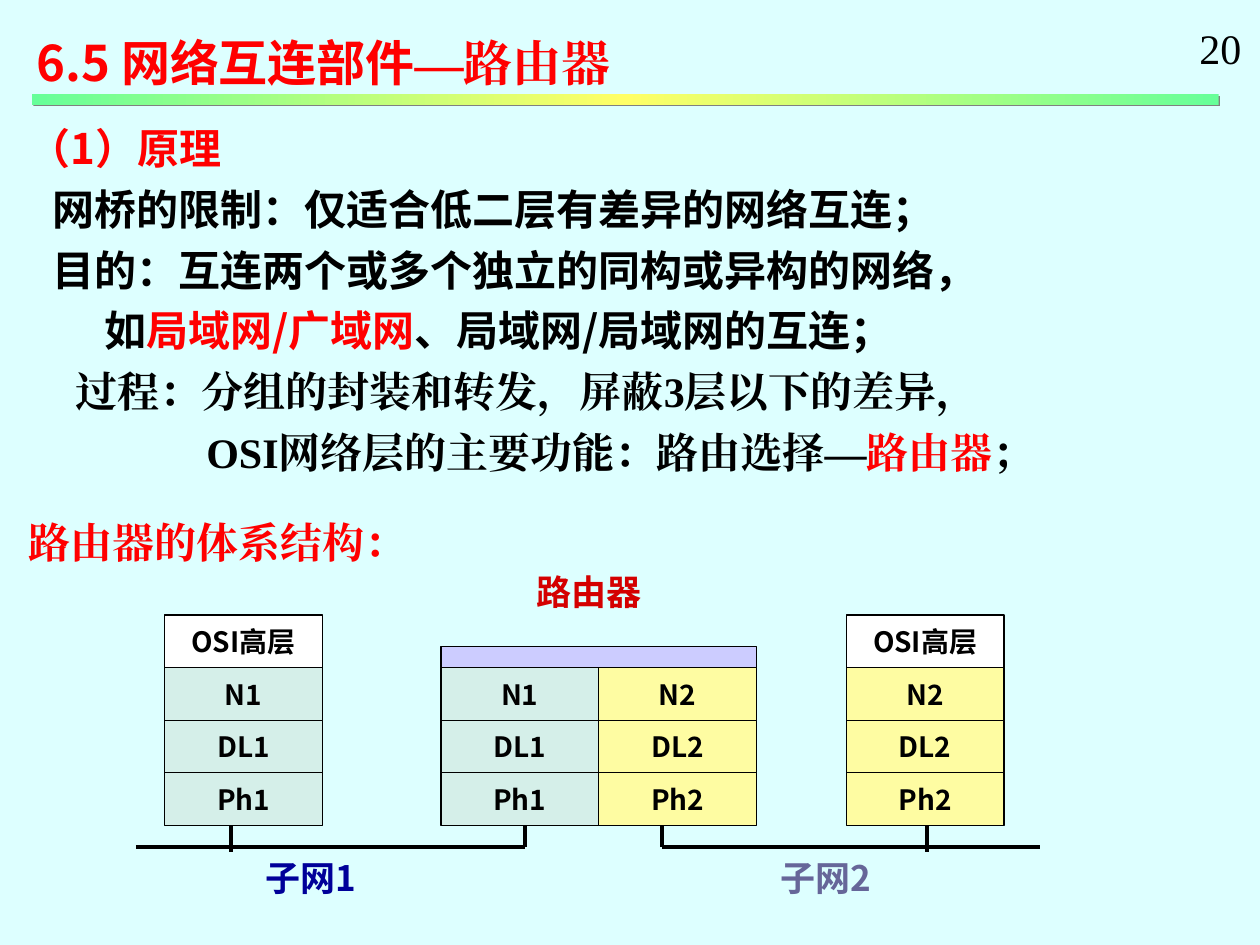
"""Build the slide on routers as network interconnection devices."""
from copy import deepcopy

from lxml import etree
from pptx import Presentation
from pptx import util as u
from pptx.dml.color import RGBColor
from pptx.enum import shapes, text
from pptx.oxml import ns

SANS, SERIF = "Noto Sans CJK SC", "Times New Roman"
BLACK, WHITE = RGBColor(0, 0, 0), RGBColor(255, 255, 255)
RED, DARK_RED = RGBColor(255, 0, 0), RGBColor(0xD4, 0, 0)
NAVY, SLATE = RGBColor(0, 0, 0x99), RGBColor(0x66, 0x66, 0x99)
PALE = RGBColor(0xDD, 0xFF, 0xFF)
MINT, CREAM = RGBColor(0xD5, 0xEF, 0xE9), RGBColor(0xFE, 0xFC, 0xA2)
LILAC = RGBColor(0xCC, 0xCC, 0xFF)
GREEN, YELLOW = RGBColor(0x66, 0xFF, 0x99), RGBColor(0xFF, 0xFF, 0x66)

TITLE = [("6.5 网络互连部件", RED, SANS), ("—路由器", RED, SERIF)]
PRINCIPLES = [
    (0, 0, [("（1）原理", RED, SANS)]),
    (0.48, 6, [("网桥的限制：仅适合低二层有差异的网络互连；", BLACK, SANS)]),
    (0.48, 6, [("目的：互连两个或多个独立的同构或异构的网络，", BLACK, SANS)]),
    (1.52, 6, [("如", BLACK, SANS), ("局域网/广域网", RED, SANS),
               ("、局域网/局域网的互连；", BLACK, SANS)]),
    (0.95, 6, [("过程：分组的封装和转发，屏蔽3层以下的差异，", BLACK, SERIF)]),
    (3.58, 6, [("OSI网络层的主要功能：路由选择—", BLACK, SERIF),
               ("路由器", RED, SERIF), ("；", BLACK, SERIF)]),
    (0, 22.5, [("路由器的体系结构：", RED, SERIF)]),
]
LABELS = [
    (10.57, 11.38, "路由器", DARK_RED),
    (5.11, 17.15, "子网1", NAVY),
    (15.49, 17.15, "子网2", SLATE),
]
UPPER = "OSI高层"
STACKS = [
    (3.32, 1, MINT, True),
    (8.89, 1, MINT, False),
    (12.07, 2, CREAM, False),
    (17.06, 2, CREAM, True),
]
LAYERS = ["N", "DL", "Ph"]
CELL_W, CELL_H, LAYER_TOP, ROUTER_TOP = 3.18, 1.06, 13.46, 13.03
BUS_Y, STACK_BOTTOM = 17.07, LAYER_TOP + len(LAYERS) * CELL_H
WIRES = [
    (2.74, BUS_Y, 10.59, BUS_Y),
    (4.65, STACK_BOTTOM, 4.65, 17.17),
    (10.59, STACK_BOTTOM, 10.59, BUS_Y),
    (13.34, STACK_BOTTOM, 13.34, BUS_Y),
    (13.34, BUS_Y, 20.96, BUS_Y),
    (18.69, STACK_BOTTOM, 18.69, 17.17),
]


def add_runs(paragraph, runs, size, bold=True):
    paragraph.line_spacing = u.Pt(size * 1.2)
    for words, color, face in runs:
        run = paragraph.add_run()
        run.text = words
        run.font.size, run.font.bold = u.Pt(size), bold
        run.font.name, run.font.color.rgb = face, color
        east_asian = etree.Element(ns.qn("a:ea"), typeface=face)
        run.font._element.find(ns.qn("a:latin")).addnext(east_asian)


def add_text(slide, left, top, width, height):
    box = slide.shapes.add_textbox(u.Cm(left), u.Cm(top), u.Cm(width), u.Cm(height))
    box.text_frame.word_wrap = True
    return box.text_frame


def add_rect(slide, left, top, width, height, color):
    rect = slide.shapes.add_shape(
        shapes.MSO_SHAPE.RECTANGLE, u.Cm(left), u.Cm(top), u.Cm(width), u.Cm(height))
    rect.shadow.inherit = False
    rect.fill.solid()
    rect.fill.fore_color.rgb = color
    rect.line.color.rgb, rect.line.width = BLACK, u.Pt(0.75)
    return rect


def add_cell(slide, left, top, words, color):
    frame = add_rect(slide, left, top, CELL_W, CELL_H, color).text_frame
    frame.word_wrap = False
    frame.vertical_anchor = text.MSO_ANCHOR.MIDDLE
    frame.paragraphs[0].alignment = text.PP_ALIGN.CENTER
    add_runs(frame.paragraphs[0], [(words, BLACK, SANS)], 16)


def add_wire(slide, *ends):
    wire = slide.shapes.add_connector(
        shapes.MSO_CONNECTOR.STRAIGHT, *(u.Cm(end) for end in ends))
    wire.line.color.rgb, wire.line.width = BLACK, u.Pt(2.25)
    etree.SubElement(wire._element.spPr, ns.qn("a:effectLst"))


def add_rule(slide):
    rule = add_rect(slide, 0.64, 1.9, 23.93, 0.21, GREEN)
    rule.line.fill.background()
    rule.fill.gradient()
    rule.fill.gradient_angle = 0
    stop_list = rule._element.spPr.find(".//" + ns.qn("a:gsLst"))
    stop_list.insert(1, deepcopy(stop_list[0]))
    for stop, color, place in zip(rule.fill.gradient_stops, (GREEN, YELLOW, GREEN), (0, 0.5, 1)):
        stop.color.rgb, stop.position = color, place
    effects = rule._element.spPr.find(ns.qn("a:effectLst"))
    shadow = etree.SubElement(effects, ns.qn("a:outerShdw"), dist=str(u.Pt(1.4)),
                              dir="2700000", algn="ctr", rotWithShape="0")
    etree.SubElement(shadow, ns.qn("a:srgbClr"), val="808080")


def add_title(slide):
    title = slide.shapes.title
    title.left, title.top = u.Cm(0.48), u.Cm(0.53)
    title.width, title.height = u.Cm(14), u.Cm(1.45)
    frame = title.text_frame
    frame.auto_size = text.MSO_AUTO_SIZE.NONE
    frame.vertical_anchor = text.MSO_ANCHOR.TOP
    frame.paragraphs[0].alignment = text.PP_ALIGN.LEFT
    add_runs(frame.paragraphs[0], TITLE, 28)


def add_principles(slide):
    frame = add_text(slide, 0.33, 2.34, 22, 9.27)
    for index, (indent, before, runs) in enumerate(PRINCIPLES):
        paragraph = frame.add_paragraph() if index else frame.paragraphs[0]
        paragraph._p.get_or_add_pPr().set("marL", str(u.Cm(indent)))
        paragraph.space_before = u.Pt(before)
        add_runs(paragraph, runs, 24)


def add_diagram(slide):
    for wire in WIRES:
        add_wire(slide, *wire)
    add_rect(slide, 8.89, ROUTER_TOP, 2 * CELL_W, LAYER_TOP - ROUTER_TOP, LILAC)
    for left, subnet, color, is_host in STACKS:
        if is_host:
            add_cell(slide, left, LAYER_TOP - CELL_H, UPPER, WHITE)
        for row, layer in enumerate(LAYERS):
            add_cell(slide, left, LAYER_TOP + row * CELL_H, f"{layer}{subnet}", color)
    for left, top, words, color in LABELS:
        frame = add_text(slide, left, top, 2.7, 1.12)
        add_runs(frame.paragraphs[0], [(words, color, SANS)], 20)


def main():
    deck = Presentation()
    deck.slide_width, deck.slide_height = u.Cm(25.4), u.Cm(19.05)
    slide = deck.slides.add_slide(deck.slide_layouts[5])
    slide.background.fill.solid()
    slide.background.fill.fore_color.rgb = PALE
    add_title(slide)
    add_rule(slide)
    page_number = add_text(slide, 23.93, 0.33, 1.35, 1.27)
    add_runs(page_number.paragraphs[0], [("20", BLACK, SERIF)], 24, bold=False)
    add_principles(slide)
    add_diagram(slide)
    deck.save("out.pptx")


if __name__ == "__main__":
    main()
